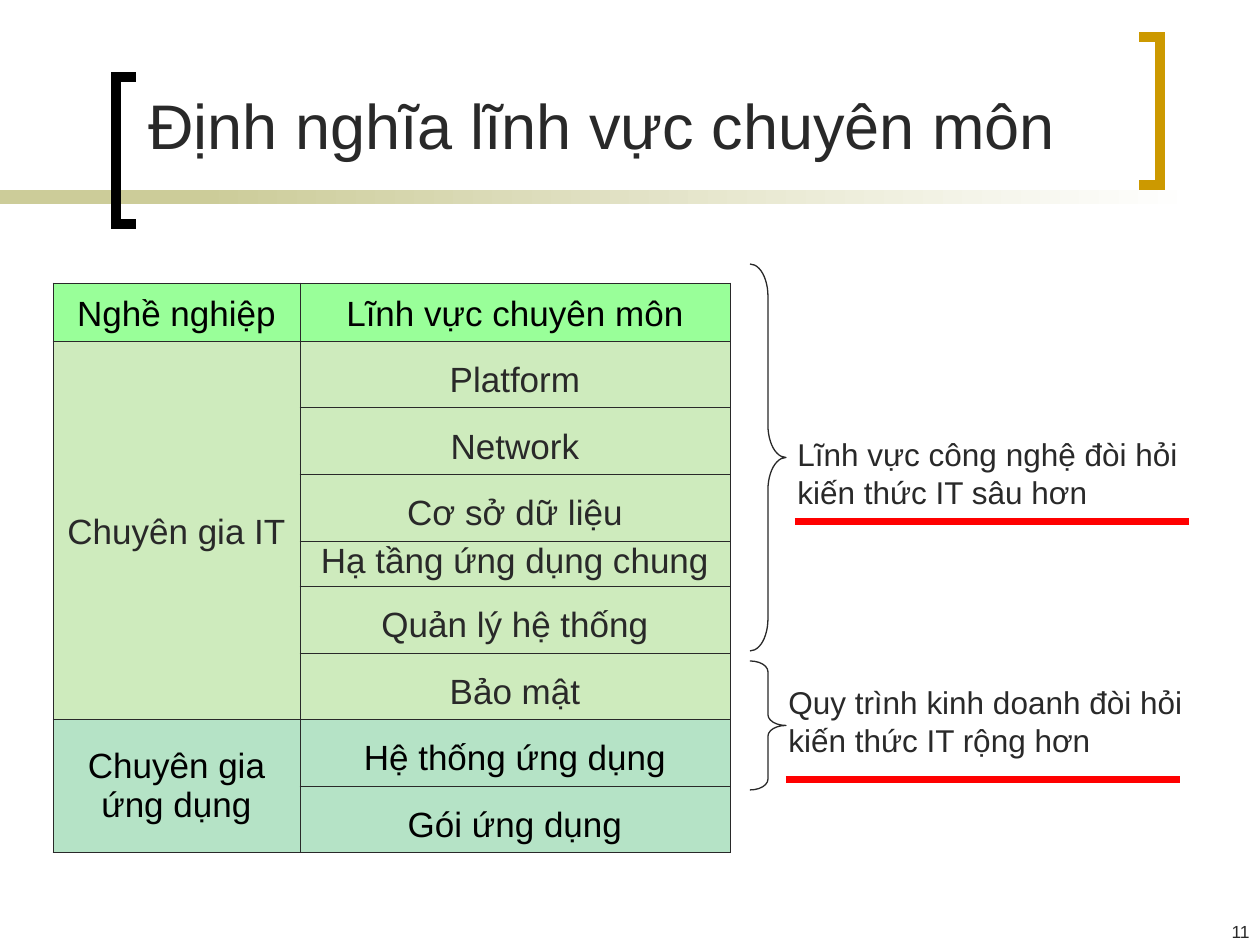
from dataclasses import dataclass

from lxml import etree
from pptx import Presentation
from pptx.dml.color import RGBColor
from pptx.enum.shapes import MSO_CONNECTOR, MSO_SHAPE
from pptx.enum.text import MSO_ANCHOR, PP_ALIGN
from pptx.oxml.ns import qn
from pptx.util import Emu, Pt

RECTANGLE, BRACE = MSO_SHAPE.RECTANGLE, MSO_SHAPE.RIGHT_BRACE
STRAIGHT = MSO_CONNECTOR.STRAIGHT
LEFT, CENTER, RIGHT = PP_ALIGN.LEFT, PP_ALIGN.CENTER, PP_ALIGN.RIGHT
TOP, MIDDLE = MSO_ANCHOR.TOP, MSO_ANCHOR.MIDDLE
EMU_PER_PX = 914400 / 126


@dataclass(frozen=True)
class Theme:
    font: str = "Arial"
    ink: str = "292929"
    black: str = "000000"
    white: str = "FFFFFF"
    band: str = "CCCC99"
    gold: str = "CC9900"
    red: str = "FF0000"
    header: str = "99FF99"
    specialist: str = "CEEBBD"
    application: str = "B5E3C6"
    title_size: int = 36
    table_size: int = 20
    note_size: int = 18
    number_size: int = 10
    border: float = 0.45


THEME = Theme()

HEADINGS = ("Nghề nghiệp", "Lĩnh vực chuyên môn")
GROUPS = (
    ("Chuyên gia IT", 1.1, THEME.specialist, THEME.ink,
     ("Platform", "Network", "Cơ sở dữ liệu", "Hạ tầng ứng dụng chung",
      "Quản lý hệ thống", "Bảo mật")),
    ("Chuyên gia ứng dụng", 1.0, THEME.application, THEME.black,
     ("Hệ thống ứng dụng", "Gói ứng dụng")),
)
TIGHT_FIELD = "Hạ tầng ứng dụng chung"
HEADER_HEIGHT, FIELD_HEIGHT, TIGHT_HEIGHT = 50, 58, 38
COLUMN_WIDTHS = (247, 430)


def px(*lengths):
    return [Emu(round(length * EMU_PER_PX)) for length in lengths]


def color(code):
    return RGBColor.from_string(code)


def apply(target, values):
    for name, value in values.items():
        setattr(target, name, value)


def write(frame, text, size, ink=THEME.ink, align=LEFT, spacing=1.0):
    para = frame.paragraphs[0]
    apply(para, {"alignment": align, "line_spacing": spacing})
    span = para.add_run()
    apply(span, {"text": text})
    apply(span.font, {"name": THEME.font, "size": Pt(size)})
    span.font.color.rgb = color(ink)


def stroke(line, ink, width):
    line.color.rgb = color(ink)
    line.width = Pt(width)


def add_text(page, bounds, text, size, anchor=MIDDLE, **style):
    frame = page.shapes.add_textbox(*px(*bounds)).text_frame
    apply(frame, {"word_wrap": True, "vertical_anchor": anchor})
    write(frame, text, size, **style)


def add_band(page, bounds, end):
    band = page.shapes.add_shape(RECTANGLE, *px(*bounds))
    band.shadow.inherit = False
    band.line.fill.background()
    band.fill.gradient()
    band.fill.gradient_angle = 0
    for stop, code in zip(band.fill.gradient_stops, (THEME.band, end)):
        stop.color.rgb = color(code)


def add_bracket(page, spine, tip, top, bottom, ink):
    builder = page.shapes.build_freeform(tip, top, scale=EMU_PER_PX)
    builder.add_line_segments(
        [(spine, top), (spine, bottom), (tip, bottom)], close=False)
    bracket = builder.convert_to_shape()
    bracket.shadow.inherit = False
    bracket.fill.background()
    stroke(bracket.line, ink, 6)
    outline = bracket.line.fill._xPr
    etree.SubElement(outline, qn("a:miter"), lim="800000")


def add_brace(page, top, height):
    left, width = 750, 36
    brace = page.shapes.add_shape(BRACE, *px(left, top, width, height))
    brace.shadow.inherit = False
    brace.fill.background()
    brace.adjustments[0] = height / width / 12
    stroke(brace.line, THEME.ink, 0.75)


def add_underline(page, left, y):
    line = page.shapes.add_connector(STRAIGHT, *px(left, y, left + 394, y))
    stroke(line.line, THEME.red, 4)
    etree.SubElement(line._element.spPr, qn("a:effectLst"))


def add_borders(cell):
    properties = cell._tc.get_or_add_tcPr()
    for side in ("lnL", "lnR", "lnT", "lnB"):
        border = etree.SubElement(
            properties, qn(f"a:{side}"), w=str(Pt(THEME.border)))
        fill = etree.SubElement(border, qn("a:solidFill"))
        etree.SubElement(fill, qn("a:srgbClr"), val=THEME.ink)


def style_cell(cell, fill):
    side, edge = px(5, 6)
    add_borders(cell)
    cell.fill.solid()
    cell.fill.fore_color.rgb = color(fill)
    apply(cell, {"vertical_anchor": MIDDLE, "margin_left": side,
                 "margin_right": side, "margin_top": edge,
                 "margin_bottom": edge})


def fill_cell(cell, text, ink, spacing):
    write(cell.text_frame, text, THEME.table_size, ink, CENTER, spacing)


def add_table(page):
    fields = [field for group in GROUPS for field in group[-1]]
    heights = [HEADER_HEIGHT] + [
        TIGHT_HEIGHT if field == TIGHT_FIELD else FIELD_HEIGHT
        for field in fields]
    bounds = px(53, 283, sum(COLUMN_WIDTHS), sum(heights))
    table = page.shapes.add_table(
        len(heights), len(COLUMN_WIDTHS), *bounds).table
    apply(table, {"first_row": False, "horz_banding": False})
    for column, width in zip(table.columns, px(*COLUMN_WIDTHS)):
        column.width = width
    for row, height in zip(table.rows, px(*heights)):
        row.height = height
    for index, heading in enumerate(HEADINGS):
        cell = table.cell(0, index)
        style_cell(cell, THEME.header)
        fill_cell(cell, heading, THEME.black, 1.1)
    first = 1
    for job, job_spacing, fill, ink, names in GROUPS:
        for row, name in enumerate(names, first):
            for column in range(len(COLUMN_WIDTHS)):
                style_cell(table.cell(row, column), fill)
            spacing = 0.8 if name == TIGHT_FIELD else 1.3
            fill_cell(table.cell(row, 1), name, ink, spacing)
        job_cell = table.cell(first, 0)
        job_cell.merge(table.cell(first + len(names) - 1, 0))
        fill_cell(job_cell, job, ink, job_spacing)
        first += len(names)


def main():
    deck = Presentation()
    deck.slide_width, deck.slide_height = px(1260, 945)
    page = deck.slides.add_slide(deck.slide_layouts[6])
    add_band(page, (0, 190, 294, 14), THEME.band)
    add_band(page, (199, 190, 998, 14), THEME.white)
    add_bracket(page, 116, 136, 77, 224, THEME.black)
    add_bracket(page, 1160, 1139, 37, 185, THEME.gold)
    add_text(page, (1004, 915, 258, 30), "11", THEME.number_size,
             anchor=TOP, align=RIGHT)
    add_table(page)
    add_text(page, (785, 393, 449, 159),
             "Lĩnh vực công nghệ đòi hỏi kiến thức IT sâu hơn",
             THEME.note_size)
    add_brace(page, 264, 387)
    add_brace(page, 661, 129)
    add_text(page, (776, 641, 465, 159),
             "Quy trình kinh doanh đòi hỏi kiến thức IT rộng hơn",
             THEME.note_size)
    add_underline(page, 795, 522)
    add_underline(page, 786, 780)
    add_text(page, (136, 63, 1023, 137), "Định nghĩa lĩnh vực chuyên môn",
             THEME.title_size, spacing=0.8)
    deck.save("out.pptx")


if __name__ == "__main__":
    main()
